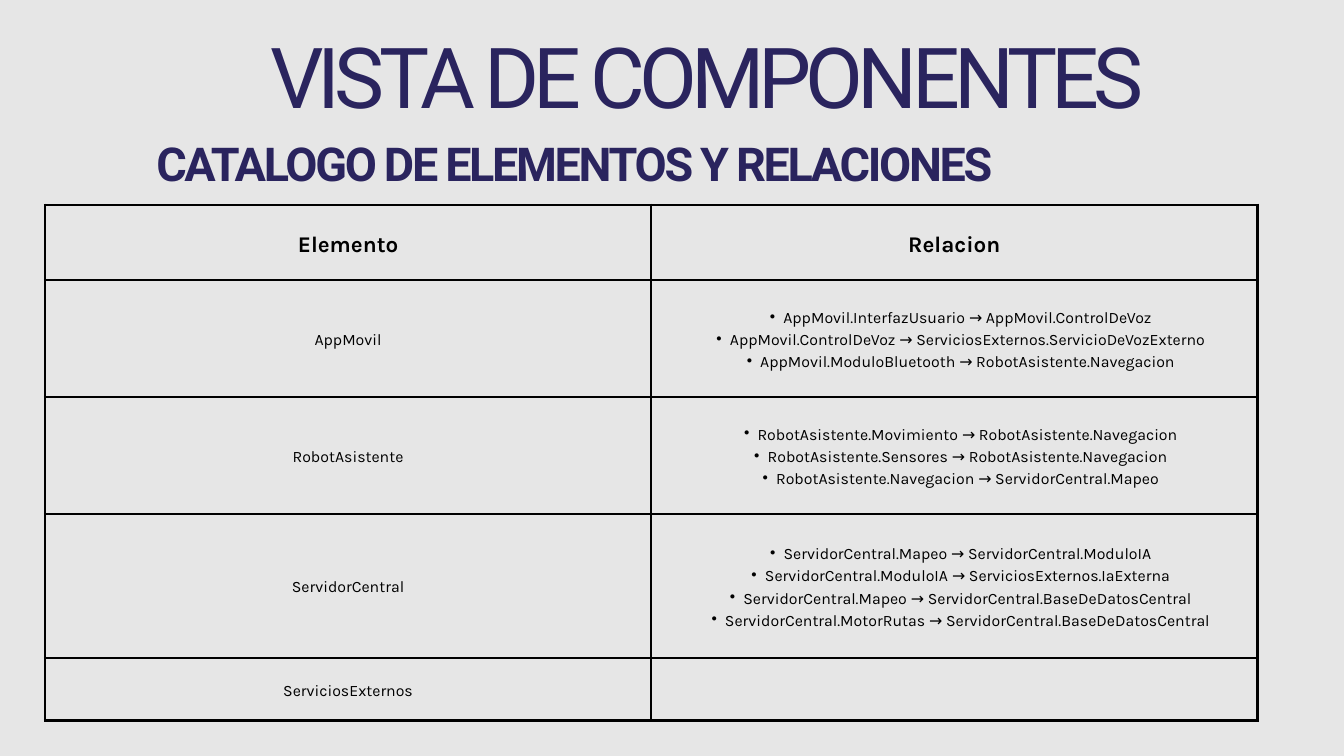
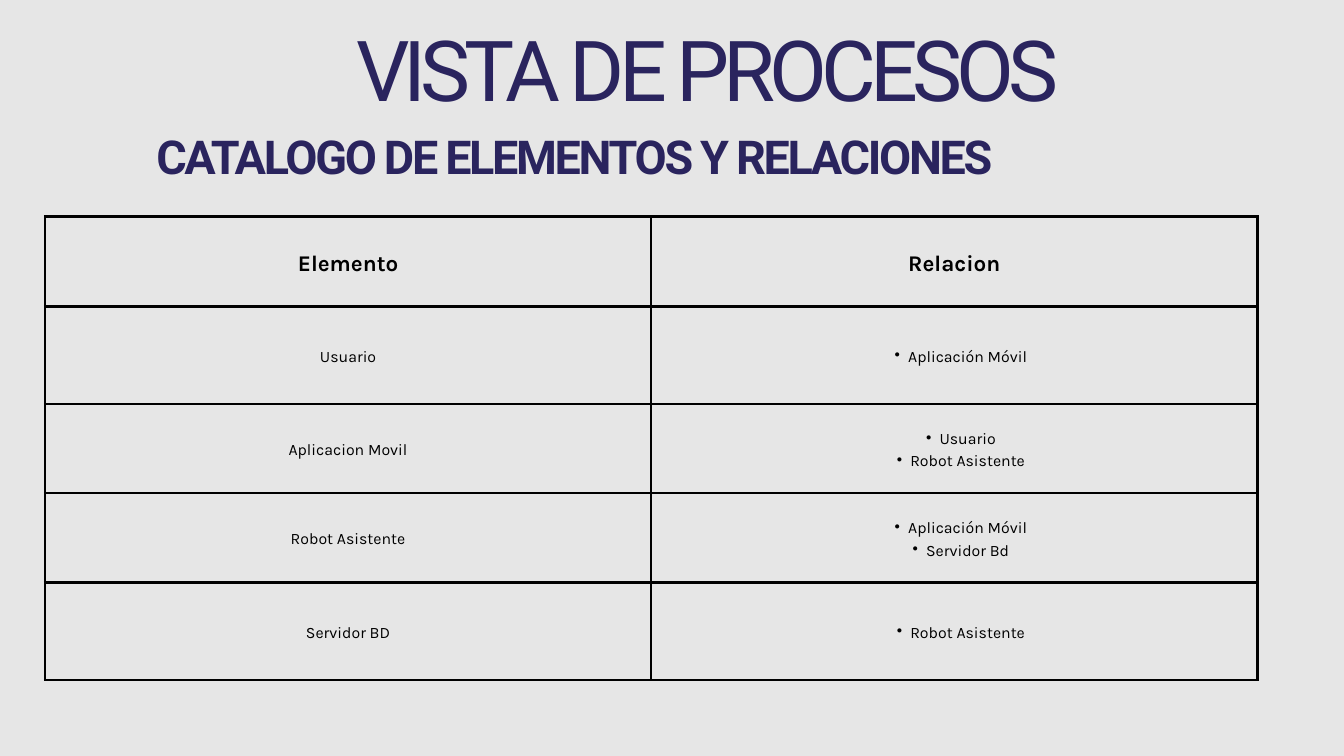
from dataclasses import dataclass

from lxml.etree import SubElement
from pptx import Presentation
from pptx.dml.color import RGBColor
from pptx.enum.text import MSO_ANCHOR, MSO_AUTO_SIZE, PP_ALIGN
from pptx.oxml.ns import qn
from pptx.util import Inches, Pt


# Theme
@dataclass(frozen=True)
class TextStyle:
    font: str
    size: float
    line: float
    color: RGBColor
    bold: bool = False
    tracking: float = 0


@dataclass(frozen=True)
class Theme:
    background = RGBColor(0xE6, 0xE6, 0xE6)
    navy = RGBColor(0x2A, 0x24, 0x5E)
    black = RGBColor(0, 0, 0)
    title = TextStyle("Roboto", 90.1, 77.5, navy, tracking=-6.3)
    subtitle = TextStyle("Roboto", 50, 65, navy, bold=True, tracking=-2.5)
    header = TextStyle("Karla", 24, 33.6, black, bold=True)
    body = TextStyle("Karla", 17, 23.8, black)
    border_width = 3
    cell_margin = 0.21


SLIDE_WIDTH, SLIDE_HEIGHT = 20, 11.25
TABLE_LEFT, COLUMN_WIDTH = 0.67, 9.02
SUBTITLE_OFFSET = 1.14
SUBTITLE = "CATALOGO DE ELEMENTOS Y RELACIONES"
HEADERS = ("Elemento", "Relacion")


class CatalogDeck:
    def __init__(self, theme):
        self.theme = theme
        self.deck = Presentation()
        self.deck.slide_width = Inches(SLIDE_WIDTH)
        self.deck.slide_height = Inches(SLIDE_HEIGHT)
        self.page = None

    def add_page(self):
        self.page = self.deck.slides.add_slide(self.deck.slide_layouts[6])
        fill = self.page.background.fill
        fill.solid()
        fill.fore_color.rgb = self.theme.background

    def set_paragraph(self, para, text, style, align, bullet=False):
        para.text = text
        para.alignment = align
        para.line_spacing = Pt(style.line)
        properties = para._p.get_or_add_pPr()
        if bullet:
            para.level = 1
            properties.set("marL", str(Inches(0.4)))
            properties.set("indent", str(Inches(-0.2)))
            SubElement(properties, qn("a:buChar"), char="•")
        font = para.font
        font.name, font.size, font.bold = style.font, Pt(style.size), style.bold
        font.color.rgb = style.color
        if style.tracking:
            character = properties.find(qn("a:defRPr"))
            character.set("spc", str(round(style.tracking * 100)))

    def add_heading(self, text, top, width, height, style, align):
        """Add a text box centred across the page."""
        box = self.page.shapes.add_textbox(
            Inches((SLIDE_WIDTH - width) / 2), Inches(top), Inches(width), Inches(height))
        frame = box.text_frame
        frame.word_wrap = True
        frame.auto_size = MSO_AUTO_SIZE.SHAPE_TO_FIT_TEXT
        frame.margin_left = frame.margin_right = frame.margin_top = frame.margin_bottom = 0
        self.set_paragraph(frame.paragraphs[0], text, style, align)

    def format_cell(self, cell):
        margin = Inches(self.theme.cell_margin)
        cell.margin_left = cell.margin_right = cell.margin_top = cell.margin_bottom = margin
        cell.vertical_anchor = MSO_ANCHOR.MIDDLE
        properties = cell._tc.get_or_add_tcPr()
        for side in ("lnL", "lnR", "lnT", "lnB"):
            line = SubElement(properties, qn(f"a:{side}"), w=str(Pt(self.theme.border_width)))
            fill = SubElement(line, qn("a:solidFill"))
            SubElement(fill, qn("a:srgbClr"), val=str(self.theme.black))
        cell.fill.background()

    def fill_cell(self, cell, lines, style, bullet=False):
        self.format_cell(cell)
        frame = cell.text_frame
        for index, text in enumerate(lines):
            para = frame.add_paragraph() if index else frame.paragraphs[0]
            self.set_paragraph(para, text, style, PP_ALIGN.CENTER, bullet)

    def add_catalog(self, top, row_heights, relations):
        table = self.page.shapes.add_table(
            len(row_heights), len(HEADERS), Inches(TABLE_LEFT), Inches(top),
            Inches(COLUMN_WIDTH * len(HEADERS)), Inches(sum(row_heights))).table
        table.first_row = table.horz_banding = False
        for column in table.columns:
            column.width = Inches(COLUMN_WIDTH)
        for row, height in zip(table.rows, row_heights):
            row.height = Inches(height)
        for index, header in enumerate(HEADERS):
            self.fill_cell(table.cell(0, index), [header], self.theme.header)
        for index, (element, targets) in enumerate(relations.items(), start=1):
            self.fill_cell(table.cell(index, 0), [element], self.theme.body)
            self.fill_cell(table.cell(index, 1), targets, self.theme.body, bullet=True)

    def add_view(self, title, title_top, title_width, table_top, row_heights, relations):
        self.add_page()
        self.add_heading(title, title_top, title_width, 1.19, self.theme.title, PP_ALIGN.RIGHT)
        self.add_catalog(table_top, row_heights, relations)
        self.add_heading(SUBTITLE, title_top + SUBTITLE_OFFSET, 15.35, 0.88,
                         self.theme.subtitle, PP_ALIGN.LEFT)


# Content
COMPONENTS = {
    "AppMovil": [
        "AppMovil.InterfazUsuario → AppMovil.ControlDeVoz",
        "AppMovil.ControlDeVoz → ServiciosExternos.ServicioDeVozExterno",
        "AppMovil.ModuloBluetooth → RobotAsistente.Navegacion",
    ],
    "RobotAsistente": [
        "RobotAsistente.Movimiento → RobotAsistente.Navegacion",
        "RobotAsistente.Sensores → RobotAsistente.Navegacion",
        "RobotAsistente.Navegacion → ServidorCentral.Mapeo",
    ],
    "ServidorCentral": [
        "ServidorCentral.Mapeo → ServidorCentral.ModuloIA",
        "ServidorCentral.ModuloIA → ServiciosExternos.IaExterna",
        "ServidorCentral.Mapeo → ServidorCentral.BaseDeDatosCentral",
        "ServidorCentral.MotorRutas → ServidorCentral.BaseDeDatosCentral",
    ],
    "ServiciosExternos": [],
}
PROCESSES = {
    "Usuario": ["Aplicación Móvil"],
    "Aplicacion Movil": ["Usuario", "Robot Asistente"],
    "Robot Asistente": ["Aplicación Móvil", "Servidor Bd"],
    "Servidor BD": ["Robot Asistente"],
}


def main():
    catalog = CatalogDeck(Theme())
    # Component view
    catalog.add_view("VISTA DE COMPONENTES", 0.79, 14.02, 3.05,
                     (1.12, 1.74, 1.74, 2.14, 0.93), COMPONENTS)
    # Process view
    catalog.add_view("VISTA DE PROCESOS", 0.69, 11.49, 3.22,
                     (1.34, 1.45, 1.33, 1.33, 1.45), PROCESSES)
    catalog.deck.save("out.pptx")


if __name__ == "__main__":
    main()
